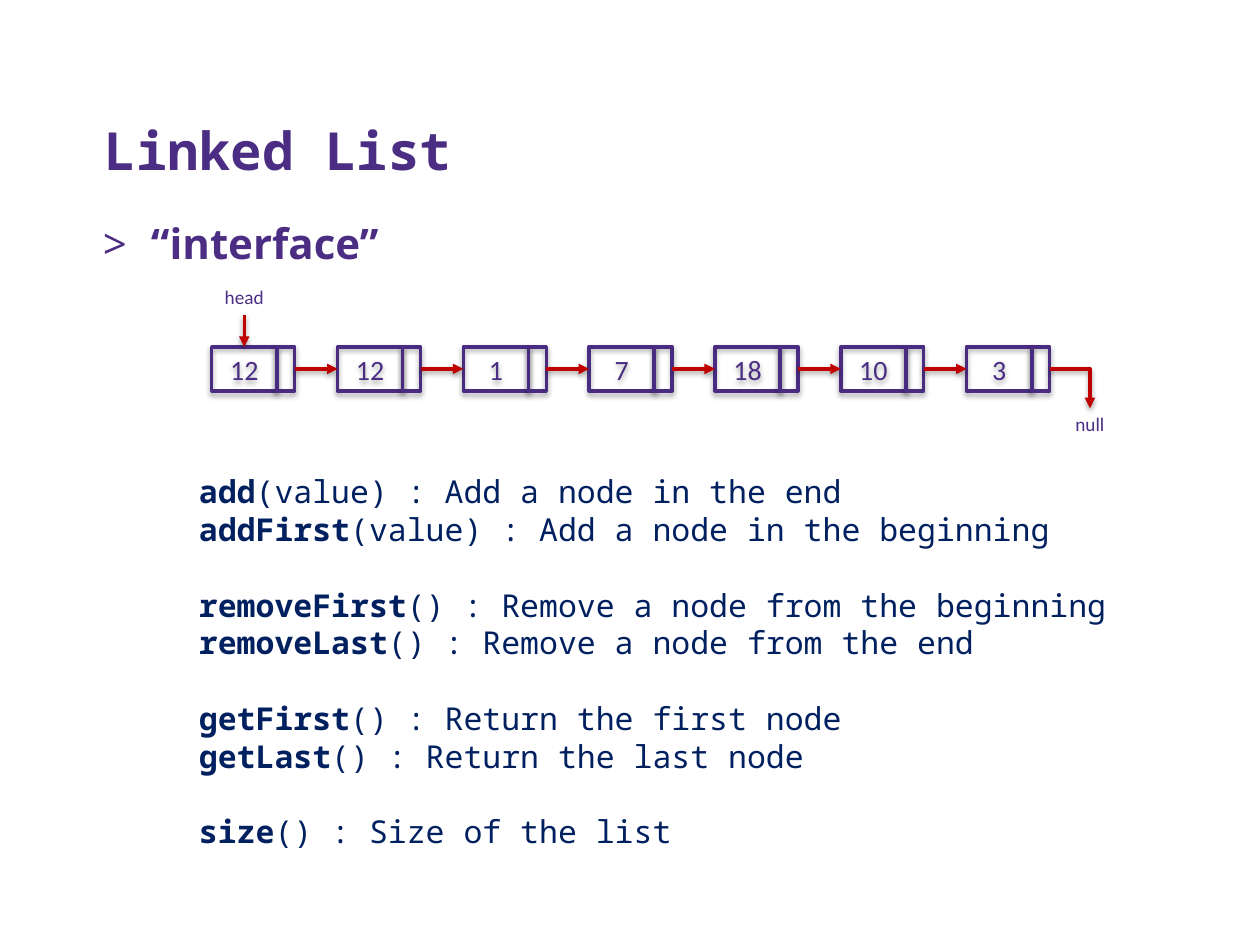
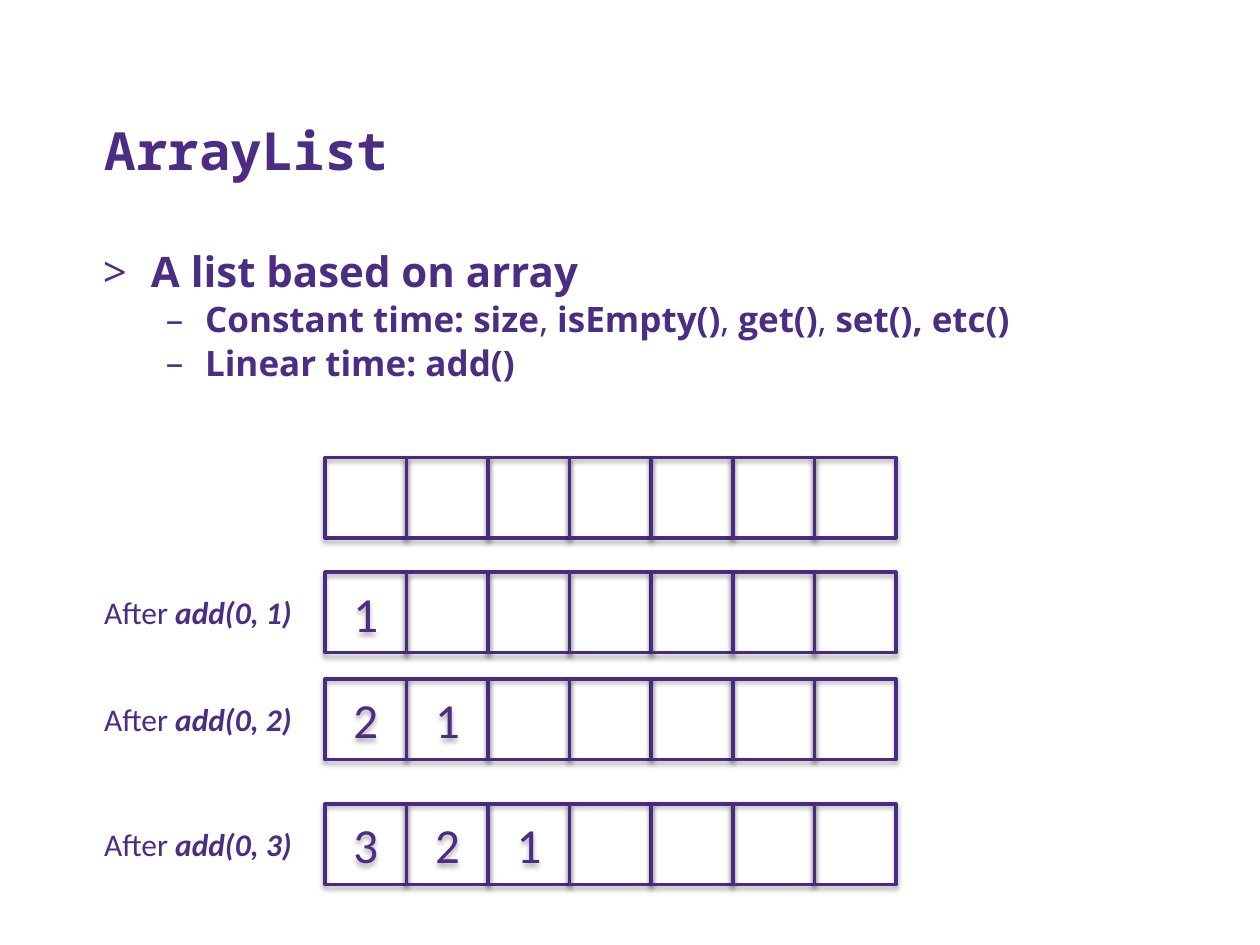
from lxml import etree
from pptx import Presentation
from pptx.dml.color import RGBColor
from pptx.enum.shapes import MSO_CONNECTOR, MSO_SHAPE
from pptx.enum.text import MSO_ANCHOR, PP_ALIGN
from pptx.oxml.ns import qn
from pptx.util import Pt

RECTANGLE = MSO_SHAPE.RECTANGLE
STRAIGHT, ELBOW = MSO_CONNECTOR.STRAIGHT, MSO_CONNECTOR.ELBOW
LEFT, CENTER = PP_ALIGN.LEFT, PP_ALIGN.CENTER
MIDDLE, BOTTOM = MSO_ANCHOR.MIDDLE, MSO_ANCHOR.BOTTOM
TOP_SIDE, LEFT_SIDE, BOTTOM_SIDE, RIGHT_SIDE = range(4)

COLORS = {"text": "4B2E83", "outline": "492B82", "arrow": "C00000",
          "code": "002060", "shadow": "000000"}
TITLE_FONT, BODY_FONT, LABEL_FONT = "Noto Sans Mono", "Open Sans", "Calibri"
TITLE_ONLY = 5

# Bullet levels: character, left margin, hanging indent, text size
BULLETS = [(">", 27.4, 27.4, 24), ("–", 58.3, 22.3, 20)]


def color(name):
    return RGBColor.from_string(COLORS[name])


def cast_shadow(shape, opacity, distance):
    effects = etree.SubElement(shape.element.spPr, qn("a:effectLst"))
    shadow = etree.SubElement(
        effects, qn("a:outerShdw"), blurRad=str(Pt(3.1)),
        dist=str(Pt(distance)), dir="5400000", rotWithShape="0")
    tone = etree.SubElement(shadow, qn("a:srgbClr"), val=COLORS["shadow"])
    etree.SubElement(tone, qn("a:alpha"), val=str(opacity * 1000))


class SlideBuilder:
    def __init__(self, deck):
        self.deck = deck
        self.page = None

    def start(self, title):
        self.page = self.deck.slides.add_slide(self.deck.slide_layouts[TITLE_ONLY])
        box = self.page.shapes.title
        box.left, box.top, box.width, box.height = Pt(52.6), Pt(29.5), Pt(644.4), Pt(77.8)
        box.text_frame.vertical_anchor = BOTTOM
        para = box.text_frame.paragraphs[0]
        para.alignment = LEFT
        self.span(para, title, 30, TITLE_FONT, bold=True)

    def span(self, para, text, size, font=LABEL_FONT, tint="text", bold=False, italic=False):
        run = para.add_run()
        run.text = text
        run.font.name, run.font.size = font, Pt(size)
        run.font.bold, run.font.italic = bold, italic
        run.font.color.rgb = color(tint)

    def text_box(self, left, top, width, height, wrap=True):
        box = self.page.shapes.add_textbox(Pt(left), Pt(top), Pt(width), Pt(height))
        box.text_frame.word_wrap = wrap
        return box

    def label(self, text, left, top):
        box = self.text_box(left, top, 47.6, 20.6)
        para = box.text_frame.paragraphs[0]
        para.alignment = CENTER
        self.span(para, text, 11)
        return box

    def bullets(self, top, items):
        """Each item is a level and its (text, bold) spans."""
        frame = self.text_box(51.8, top, 645, 316).text_frame
        for index, (level, spans) in enumerate(items):
            para = frame.add_paragraph() if index else frame.paragraphs[0]
            mark, margin, hanging, size = BULLETS[level]
            props = para._p.get_or_add_pPr()
            props.set("marL", str(Pt(margin)))
            props.set("indent", str(-Pt(hanging)))
            etree.SubElement(props, qn("a:buFont"), typeface=BODY_FONT)
            etree.SubElement(props, qn("a:buChar"), char=mark)
            para.level = level
            if index:
                para.space_before = Pt(1)
            for text, bold in spans:
                self.span(para, text, size, BODY_FONT, bold=bold)

    def methods(self, left, top, groups):
        """List method signatures, with one open line between groups."""
        frame = self.text_box(left, top, 606, 247).text_frame
        para = frame.paragraphs[0]
        for group_index, group in enumerate(groups):
            for index, (name, rest) in enumerate(group):
                if group_index or index:
                    para = frame.add_paragraph()
                if group_index and not index:
                    para.space_before = Pt(21.5)
                self.span(para, name, 18, TITLE_FONT, "code", bold=True)
                self.span(para, rest, 18, TITLE_FONT, "code")

    def cell(self, left, top, width, height, text="", size=16):
        box = self.page.shapes.add_shape(RECTANGLE, Pt(left), Pt(top), Pt(width), Pt(height))
        box.fill.background()
        box.line.color.rgb = color("outline")
        box.line.width = Pt(2)
        cast_shadow(box, 35, 1.8)
        if text:
            box.text_frame.vertical_anchor = MIDDLE
            para = box.text_frame.paragraphs[0]
            para.alignment = CENTER
            self.span(para, text, size)
        return box

    def arrow(self, kind, start=(0, 0), end=(0, 0)):
        line = self.page.shapes.add_connector(kind, *(Pt(value) for value in start + end))
        line.line.color.rgb = color("arrow")
        line.line.width = Pt(2)
        outline = line.element.spPr.find(qn("a:ln"))
        etree.SubElement(outline, qn("a:tailEnd"), type="triangle")
        cast_shadow(line, 38, 1.6)
        return line

    def link(self, source, source_side, target, target_side):
        line = self.arrow(STRAIGHT)
        line.begin_connect(source, source_side)
        line.end_connect(target, target_side)

    def corner_arrow(self, start, end):
        line = self.arrow(ELBOW, start, end)
        line.element.spPr.find(qn("a:prstGeom")).set("prst", "bentConnector2")


def linked_list_slide(builder):
    builder.start("Linked List")
    builder.bullets(121, [(0, [("“interface”", True)])])
    builder.methods(106.6, 266.4, [
        [("add", "(value) : Add a node in the end"),
         ("addFirst", "(value) : Add a node in the beginning")],
        [("removeFirst", "() : Remove a node from the beginning"),
         ("removeLast", "() : Remove a node from the end")],
        [("getFirst", "() : Return the first node"),
         ("getLast", "() : Return the last node")],
        [("size", "() : Size of the list")],
    ])

    left, top, pitch = 121, 198.2, 71.9
    value_width, pointer_width, height = 37.2, 10.2, 25.2
    previous = None
    for index, value in enumerate(["12", "12", "1", "7", "18", "10", "3"]):
        x = left + index * pitch
        node = builder.cell(x, top, value_width, height, value)
        pointer = builder.cell(x + value_width, top, pointer_width, height)
        if previous:
            builder.link(previous, RIGHT_SIDE, node, LEFT_SIDE)
        else:
            head = builder.label("head", 115.8, 159.3)
            builder.link(head, BOTTOM_SIDE, node, TOP_SIDE)
        previous = pointer

    tail_x = x + value_width + pointer_width
    builder.corner_arrow((tail_x, top + height / 2), (622.8, 233.3))
    builder.label("null", 599, 231.8)


def array_list_slide(builder):
    builder.start("ArrayList")
    builder.bullets(136.8, [
        (0, [("A list based on array", True)]),
        (1, [("Constant time: size", True), (", ", False), ("isEmpty()", True),
             (", ", False), ("get()", True), (", ", False), ("set(), etc()", True)]),
        (1, [("Linear time: add()", True)]),
    ])
    left, side, height, columns = 185.8, 46.6, 46, 7
    rows = [(261.4, "", ""), (327, "add(0, 1)", "1"),
            (388, "add(0, 2)", "21"), (459.4, "add(0, 3)", "321")]
    for top, call, values in rows:
        for column, value in enumerate(values.ljust(columns)):
            builder.cell(left + column * side, top, side, height, value.strip(), 28)
        if call:
            box = builder.text_box(52.4, top + 8.6, 123, 29, wrap=False)
            para = box.text_frame.paragraphs[0]
            builder.span(para, "After ", 18)
            builder.span(para, call, 18, bold=True, italic=True)


def main():
    deck = Presentation()
    deck.slide_width, deck.slide_height = Pt(720), Pt(540)
    builder = SlideBuilder(deck)
    linked_list_slide(builder)
    array_list_slide(builder)
    deck.save("out.pptx")


if __name__ == "__main__":
    main()
